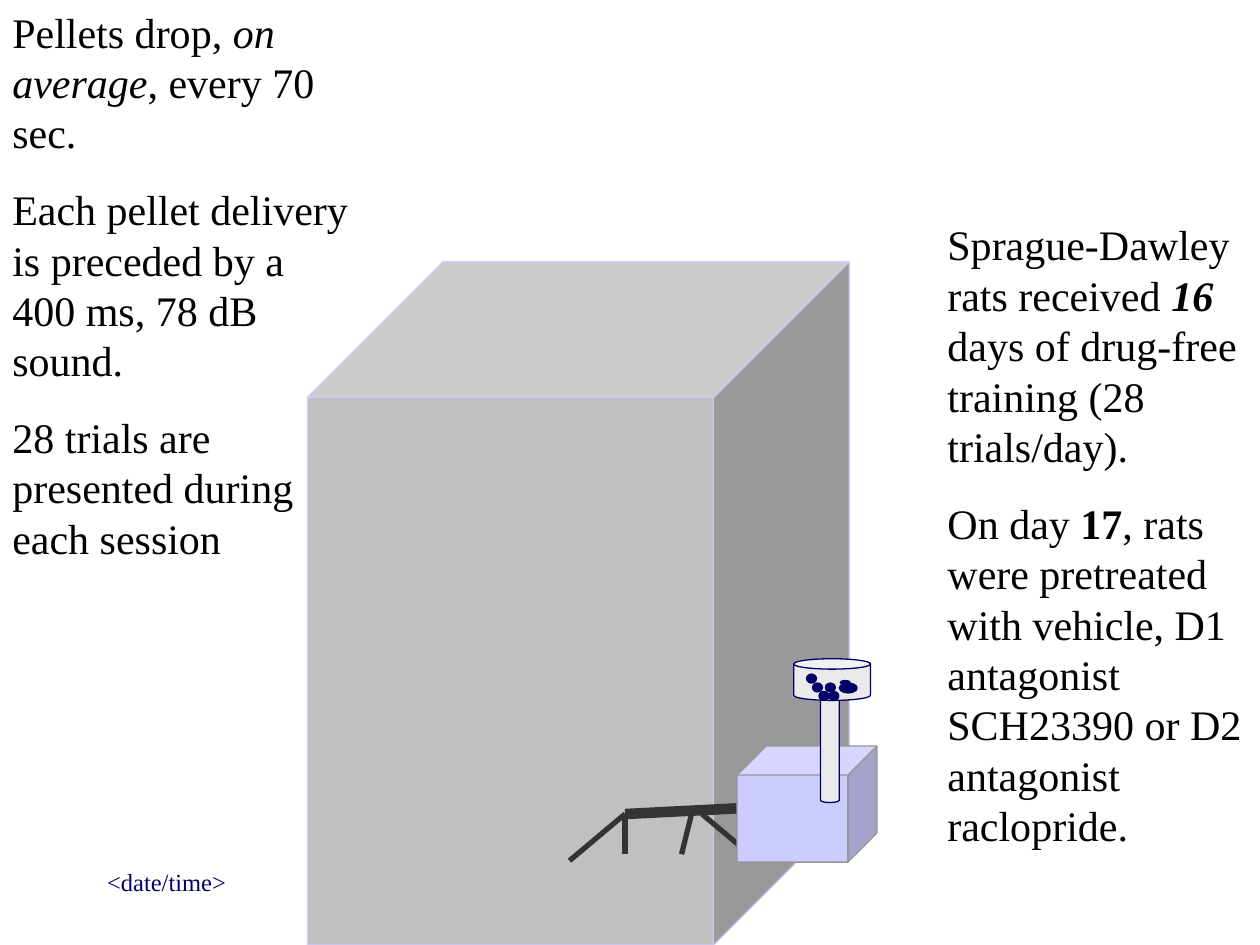
"""Build the slide showing the pellet-delivery chamber and the training protocol."""
from typing import Any, NamedTuple

from lxml import etree
from pptx import Presentation
from pptx import util as u
from pptx.dml.color import RGBColor
from pptx.enum import shapes, text
from pptx.oxml.ns import qn

COLORS = {
    "ink": "000000",
    "navy": "000066",
    "cage": "C0C0C0",
    "lilac": "CCCCFF",
    "steel": "969696",
    "tube": "EAEAEA",
    "lever": "333333",
}
PLAIN: dict[str, Any] = {}
ITALIC = {"italic": True}
BOLD = {"bold": True}
BOLD_ITALIC = {**BOLD, **ITALIC}
FRAME_FORMAT = {"word_wrap": True, "vertical_anchor": text.MSO_ANCHOR.TOP}


class Box(NamedTuple):
    left: float
    top: float
    width: float
    height: float


class Solid(NamedTuple):
    kind: shapes.MSO_SHAPE
    box: Box
    fill: str
    line: str


class Bar(NamedTuple):
    start: tuple[float, float]
    end: tuple[float, float]
    weight: float


class Note(NamedTuple):
    box: Box
    size: int
    color: str
    leading: float | None
    paragraphs: list[list[tuple[str, dict[str, Any]]]]


CUBE, CAN, OVAL = shapes.MSO_SHAPE.CUBE, shapes.MSO_SHAPE.CAN, shapes.MSO_SHAPE.OVAL

CAGE = Solid(CUBE, Box(6.2, 5.28, 10.92, 13.77), "cage", "lilac")
FOOD_CUP = Solid(CUBE, Box(14.86, 15.04, 2.82, 2.34), "lilac", "steel")

LEVER_TIP = (12.6, 16.41)
LEVER = [
    Bar((15.16, 16.28), LEVER_TIP, 6),
    Bar((14.15, 16.41), (14.96, 17.09), 3),
    Bar((13.94, 16.41), (13.74, 17.22), 3),
    Bar(LEVER_TIP, (12.6, 17.22), 3),
    Bar(LEVER_TIP, (11.48, 17.35), 3),
]

PELLETS = [
    Box(16.26, 13.59, 0.2, 0.18),
    Box(16.51, 13.94, 0.2, 0.18),
    Box(16.64, 13.77, 0.2, 0.18),
    Box(16.71, 13.94, 0.2, 0.18),
    Box(16.38, 13.77, 0.2, 0.18),
    Box(16.92, 13.77, 0.36, 0.2),
    Box(16.94, 13.72, 0.2, 0.08),
]
DISPENSER = [
    Solid(CAN, Box(16.54, 13.28, 0.38, 2.9), "tube", "navy"),
    Solid(CAN, Box(16, 13.28, 1.55, 0.84), "tube", "navy"),
    *(Solid(OVAL, pellet, "navy", "navy") for pellet in PELLETS),
]

DATE = Note(Box(1.91, 17.35, 5.28, 1.27), 14, "navy", None, [[("<date/time>", PLAIN)]])
TRAINING = Note(Box(18.85, 4.29, 6.55, 12.98), 24, "ink", 28.8, [
    [("Sprague-Dawley rats received ", PLAIN), ("16", BOLD_ITALIC),
     (" days of drug-free training (28 trials/day).", PLAIN)],
    [("On day ", PLAIN), ("17", BOLD),
     (", rats were pretreated with vehicle, D1 antagonist SCH23390 or D2 antagonist raclopride.",
      PLAIN)],
])
TRIALS = Note(Box(0, 0, 7.37, 11.48), 24, "ink", 28.8, [
    [("Pellets drop, ", PLAIN), ("on average", ITALIC), (", every 70 sec.", PLAIN)],
    [("Each pellet delivery is preceded by a 400 ms, 78 dB sound.", PLAIN)],
    [("28 trials are presented during each session", PLAIN)],
])


def rgb(name: str) -> RGBColor:
    """Return the named colour."""
    return RGBColor.from_string(COLORS[name])


def apply_format(target: Any, values: dict[str, Any]) -> None:
    """Set each format value on the target."""
    for key, value in values.items():
        setattr(target, key, value)


def draw_solid(canvas: Any, solid: Solid) -> None:
    """Draw a filled preset shape with a thin outline."""
    body = canvas.add_shape(solid.kind, *map(u.Cm, solid.box))
    body.shadow.inherit = False
    body.fill.solid()
    body.fill.fore_color.rgb = rgb(solid.fill)
    body.line.color.rgb = rgb(solid.line)
    body.line.width = u.Pt(0.75)


def draw_bar(canvas: Any, bar: Bar) -> None:
    """Draw one straight bar of the lever."""
    rod = canvas.add_connector(
        shapes.MSO_CONNECTOR.STRAIGHT, *map(u.Cm, (*bar.start, *bar.end)))
    rod.line.color.rgb = rgb("lever")
    rod.line.width = u.Pt(bar.weight)
    etree.SubElement(rod._element.spPr, qn("a:effectLst"))


def write_note(canvas: Any, note: Note) -> None:
    """Write a text box of formatted paragraphs."""
    frame = canvas.add_textbox(*map(u.Cm, note.box)).text_frame
    apply_format(frame, FRAME_FORMAT)
    for index, pieces in enumerate(note.paragraphs):
        paragraph = frame.add_paragraph() if index else frame.paragraphs[0]
        if index:
            paragraph.space_before = u.Pt(15)
        if note.leading:
            paragraph.line_spacing = u.Pt(note.leading)
        for words, emphasis in pieces:
            run = paragraph.add_run()
            run.text = words
            apply_format(run.font, {
                "name": "Times New Roman", "size": u.Pt(note.size), **emphasis})
            run.font.color.rgb = rgb(note.color)


def main() -> None:
    """Build and save the slide."""
    deck = Presentation()
    apply_format(deck, {"slide_width": u.Cm(25.4), "slide_height": u.Cm(19.05)})
    canvas = deck.slides.add_slide(deck.slide_layouts[6]).shapes

    write_note(canvas, DATE)
    draw_solid(canvas, CAGE)
    lever = canvas.add_group_shape().shapes
    for bar in LEVER:
        draw_bar(lever, bar)
    write_note(canvas, TRAINING)
    draw_solid(canvas, FOOD_CUP)
    dispenser = canvas.add_group_shape().shapes
    for solid in DISPENSER:
        draw_solid(dispenser, solid)
    write_note(canvas, TRIALS)

    deck.save("out.pptx")


if __name__ == "__main__":
    main()
